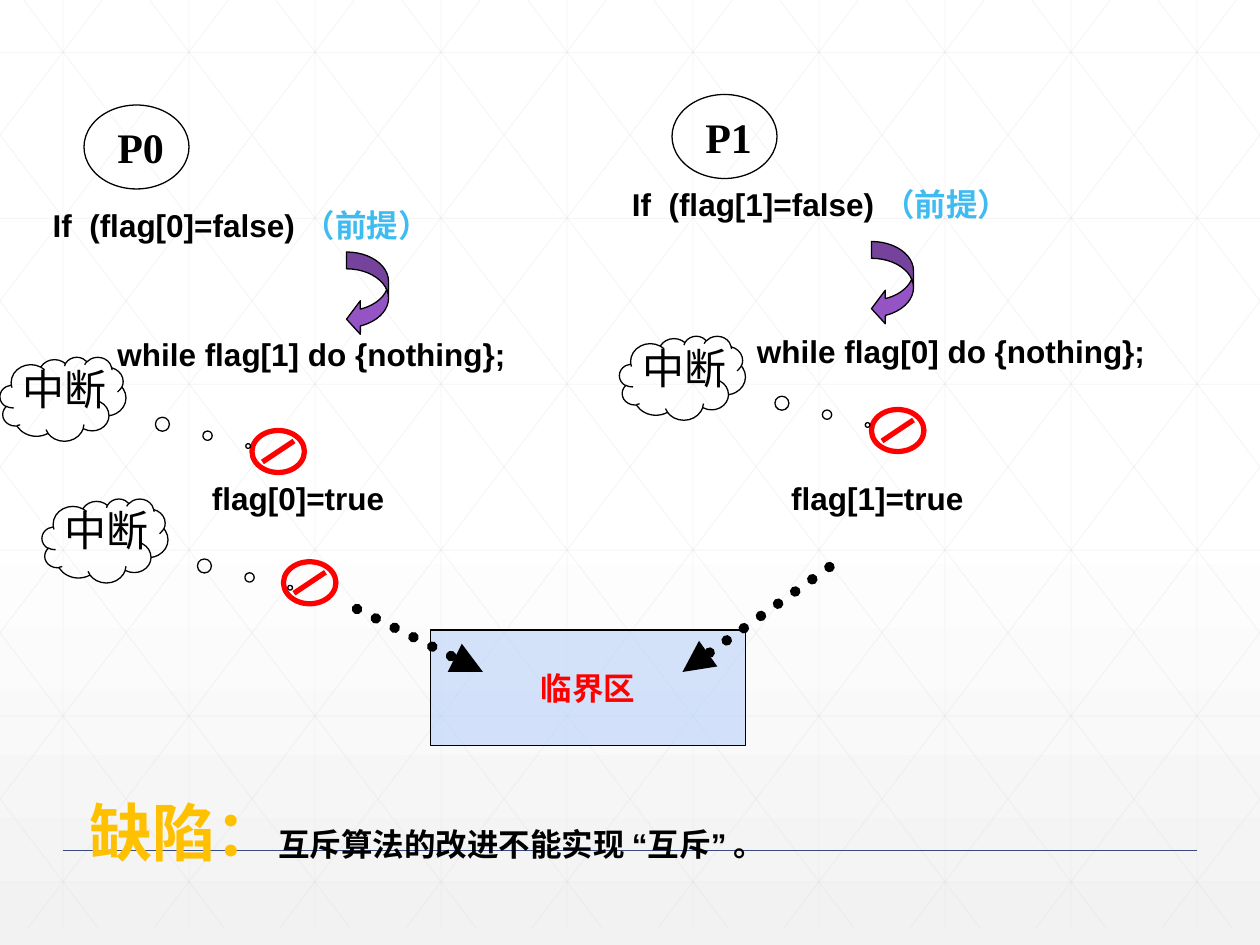
"""Build a slide on a flawed two-process mutual exclusion algorithm."""

from dataclasses import dataclass
from typing import Optional

from lxml import etree
from pptx import Presentation
from pptx.dml.color import RGBColor
from pptx.enum.dml import MSO_LINE
from pptx.enum.shapes import MSO_CONNECTOR, MSO_SHAPE
from pptx.enum.text import MSO_ANCHOR, PP_ALIGN
from pptx.oxml.ns import qn
from pptx.util import Pt

STRAIGHT = MSO_CONNECTOR.STRAIGHT
ELLIPSE = MSO_SHAPE.OVAL
RECTANGLE = MSO_SHAPE.RECTANGLE
CLOUD = MSO_SHAPE.CLOUD_CALLOUT
CURVED_ARROW = MSO_SHAPE.CURVED_LEFT_ARROW
ROUND_DOT = MSO_LINE.ROUND_DOT
LEFT, CENTER, JUSTIFY = PP_ALIGN.LEFT, PP_ALIGN.CENTER, PP_ALIGN.JUSTIFY

SANS, SERIF, CHINESE = "Arial", "Times New Roman", "Noto Sans CJK SC"
COLORS = {
    "white": "FFFFFF", "shade": "F2F2F2", "grid": "D9D9D9", "rule": "384C81",
    "ink": "000000", "premise": "3EBBF0", "arrow": "9454C3", "stop": "FF0000",
    "section": "ACCBF9", "flaw": "FFC000",
}
WIDTH, HEIGHT = 720, 540
GRID_HEIGHT, GRID_RUN, GRID_STEP = 530.64, 402.75, 72


@dataclass
class Span:
    """A stretch of text with its departures from the paragraph font."""

    text: str
    color: Optional[str] = None
    size: Optional[float] = None
    typeface: Optional[str] = None


@dataclass
class Process:
    """One process column: its texts and the corners of its parts."""

    name: str
    own: int
    other: int
    circle: tuple
    condition: tuple
    arrow: tuple
    loop: tuple
    assignment: tuple


@dataclass
class Interrupt:
    """The corners of a thought cloud and of the stop sign it points at."""

    cloud: tuple
    sign: tuple


PROCESSES = [
    Process("P0", 0, 1, (48, 60), (23, 114), (198, 144), (60, 188), (114, 270)),
    Process("P1", 1, 0, (384, 54), (354, 102), (498, 138), (425.5, 186), (445, 270)),
]
INTERRUPTS = [
    Interrupt((0, 204), (144, 246)),
    Interrupt((24, 285), (162, 321)),
    Interrupt((354, 192), (498, 234)),
]


def rgb(name: str) -> RGBColor:
    """Look up a named colour."""
    return RGBColor.from_string(COLORS[name])


def set_alpha(properties, percent: int) -> None:
    """Make the first colour under an element partly transparent."""
    color = next(properties.iter(qn("a:srgbClr")))
    etree.SubElement(color, qn("a:alpha")).set("val", str(percent * 1000))


def set_east_asian(properties, typeface: str) -> None:
    """Name the East Asian typeface in character properties."""
    etree.SubElement(properties, qn("a:ea")).set("typeface", typeface)


def write(frame, spans: list, size: float, typeface: str, bold: bool = True,
          color: str = "ink", align=LEFT):
    """Fill a text frame with one paragraph of spans."""
    paragraph = frame.paragraphs[0]
    paragraph.alignment = align
    font = paragraph.font
    font.size, font.bold, font.name = Pt(size), bold, typeface
    font.color.rgb = rgb(color)
    set_east_asian(next(paragraph._p.iter(qn("a:defRPr"))), CHINESE)
    for span in spans:
        run = paragraph.add_run()
        run.text = span.text
        if span.color:
            run.font.color.rgb = rgb(span.color)
        if span.size:
            run.font.size = Pt(span.size)
        if span.typeface:
            run.font.name = span.typeface
            set_east_asian(run._r.rPr, span.typeface)
    return paragraph


def add_text(slide, corner: tuple, size: tuple, spans: list, points: float,
             typeface: str = SANS, wrap: bool = True, **style):
    """Add a text box and return its paragraph."""
    box = slide.shapes.add_textbox(*map(Pt, corner + size))
    box.text_frame.word_wrap = wrap
    return write(box.text_frame, spans, points, typeface, **style)


def add_shape(slide, kind, corner: tuple, size: tuple, fill: Optional[str] = None,
              line: str = "ink", weight: float = 0.75, adjustments: tuple = ()):
    """Add an outlined preset shape, hollow unless a fill is named."""
    shape = slide.shapes.add_shape(kind, *map(Pt, corner + size))
    shape.shadow.inherit = False
    for index, value in enumerate(adjustments):
        shape.adjustments[index] = value
    if fill:
        shape.fill.solid()
        shape.fill.fore_color.rgb = rgb(fill)
    else:
        shape.fill.background()
    shape.line.color.rgb = rgb(line)
    shape.line.width = Pt(weight)
    return shape


def add_line(slide, start: tuple, end: tuple, color: str, weight: float,
             alpha: int = 100, dotted_arrow: bool = False) -> None:
    """Add a straight line, optionally faint or as a dotted arrow."""
    connector = slide.shapes.add_connector(STRAIGHT, *map(Pt, start + end))
    connector.line.color.rgb = rgb(color)
    connector.line.width = Pt(weight)
    properties = connector._element.spPr
    if alpha < 100:
        set_alpha(properties, alpha)
    if dotted_arrow:
        connector.line.dash_style = ROUND_DOT
        outline = properties.find(qn("a:ln"))
        outline.set("cap", "rnd")
        etree.SubElement(outline, qn("a:tailEnd")).set("type", "triangle")
    etree.SubElement(properties, qn("a:effectLst"))


def add_backdrop(slide) -> None:
    """Paint the gradient, the faint triangular grid and the bottom rule."""
    fill = slide.background.fill
    fill.gradient()
    fill.gradient_angle = 270
    for stop, color, position in zip(fill.gradient_stops, ("white", "shade"), (0.53, 1)):
        stop.color.rgb = rgb(color)
        stop.position = position
    lines = [((36 + GRID_STEP * i, 0), (36 + GRID_STEP * i, GRID_HEIGHT)) for i in range(10)]
    lines += [((0, 30 + 94.8 * i), (WIDTH, 30 + 94.8 * i)) for i in range(6)]
    slope = GRID_HEIGHT / GRID_RUN
    for i in range(-5, 10):
        top = 13.5 + GRID_STEP * i
        left, right = max(top, 0), min(top + GRID_RUN, WIDTH)
        start_y, end_y = (left - top) * slope, (right - top) * slope
        lines.append(((left, start_y), (right, end_y)))
        lines.append(((WIDTH - left, start_y), (WIDTH - right, end_y)))
    for start, end in lines:
        add_line(slide, start, end, "grid", 0.5, alpha=25)
    add_line(slide, (36, 486), (684, 486), "rule", 1)


def add_process(slide, process: Process) -> None:
    """Draw one process with its code from test to assignment."""
    x, y = process.circle
    add_text(slide, (x + 12, y + 6), (41, 36), [Span(process.name)], 24, SERIF, wrap=False)
    add_shape(slide, ELLIPSE, process.circle, (60, 48))
    condition = [Span(f"If  (flag[{process.own}]=false) "), Span("（前提）", "premise")]
    add_text(slide, process.condition, (290, 36), condition, 18)
    add_shape(slide, CURVED_ARROW, process.arrow, (24, 48), fill="arrow",
              adjustments=(0.4, 0.8, 0.33))
    loop = [Span(f"while flag[{process.other}] do {{nothing}};")]
    add_text(slide, process.loop, (282, 36), loop, 18)
    add_text(slide, process.assignment, (137.5, 36), [Span(f"flag[{process.own}]=true")], 18)


def add_interrupt(slide, interrupt: Interrupt) -> None:
    """Draw a stop sign and the cloud that explains it."""
    x, y = interrupt.sign
    add_shape(slide, ELLIPSE, interrupt.sign, (30, 24), line="stop", weight=3)
    add_line(slide, (x + 6, y + 18), (x + 24, y + 6), "stop", 3)
    add_shape(slide, CLOUD, interrupt.cloud, (72, 48), adjustments=(1.47, 0.56))
    x, y = interrupt.cloud
    add_text(slide, (x + 6, y), (67, 36), [Span("中断")], 24, SERIF, bold=False)


def add_critical_section(slide) -> None:
    """Draw the critical section and the arrows that enter it."""
    section = add_shape(slide, RECTANGLE, (246, 360), (180, 66), fill="section")
    set_alpha(section._element.spPr, 50)
    section.text_frame.vertical_anchor = MSO_ANCHOR.MIDDLE
    section.text_frame.word_wrap = False
    write(section.text_frame, [Span("临界区")], 18, SANS, color="stop", align=CENTER)
    for start, end in (((474, 324), (390, 384)), ((204, 348), (276, 384))):
        add_line(slide, start, end, "ink", 6, dotted_arrow=True)


def main() -> None:
    """Assemble and save the slide."""
    presentation = Presentation()
    presentation.slide_width, presentation.slide_height = Pt(WIDTH), Pt(HEIGHT)
    slide = presentation.slides.add_slide(presentation.slide_layouts[6])
    add_backdrop(slide)
    for process in PROCESSES:
        add_process(slide, process)
    for interrupt in INTERRUPTS:
        add_interrupt(slide, interrupt)
    add_critical_section(slide)
    flaw = [Span("缺陷：", "flaw", 36), Span("互斥算法的改进不能实现 "), Span("“", typeface=SANS),
            Span("互斥"), Span("”", typeface=SANS), Span(" 。")]
    paragraph = add_text(slide, (44, 445.5), (612.5, 50), flaw, 18, CHINESE, align=JUSTIFY)
    paragraph.line_spacing = 1.1
    presentation.save("out.pptx")


if __name__ == "__main__":
    main()
